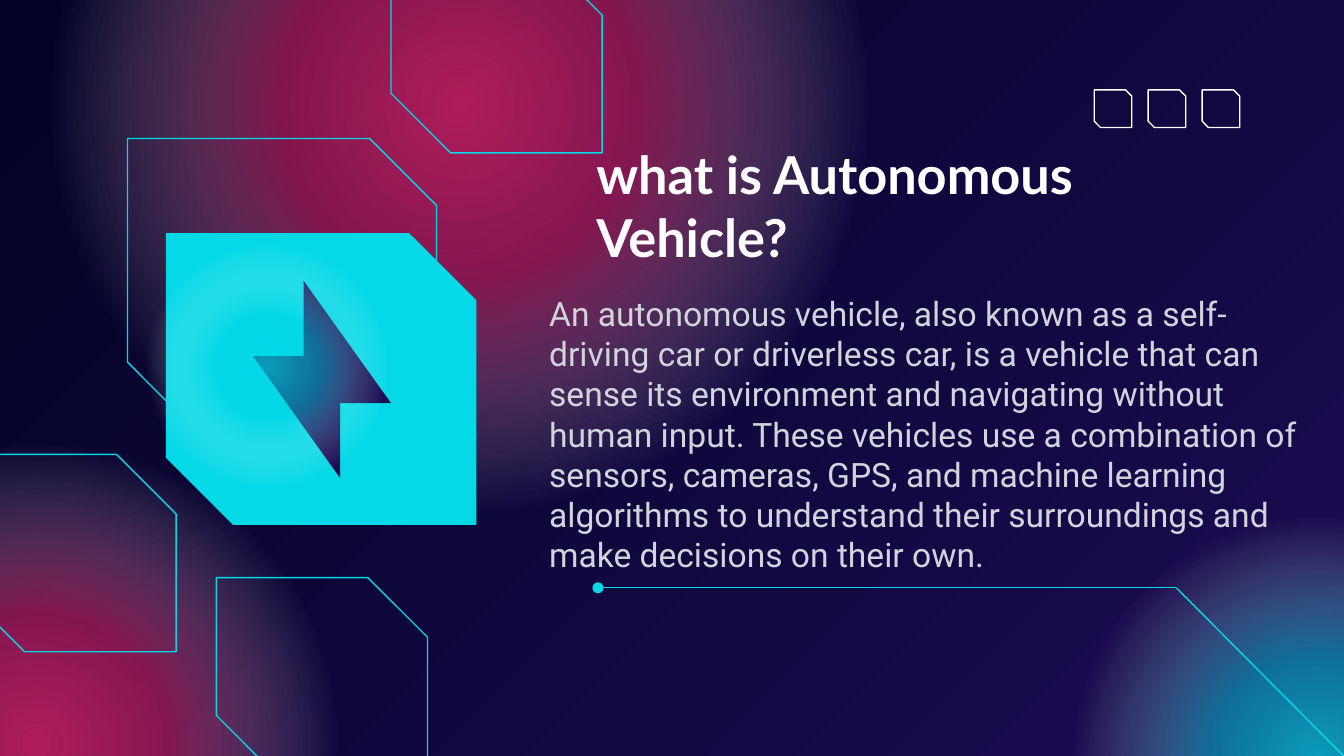
from lxml import etree
from pptx import Presentation
from pptx.dml.color import RGBColor
from pptx.enum.shapes import MSO_CONNECTOR, MSO_SHAPE
from pptx.enum.text import MSO_ANCHOR, MSO_AUTO_SIZE, PP_ALIGN
from pptx.oxml import parse_xml
from pptx.oxml.ns import qn
from pptx.util import Cm, Pt

OVAL, SNIP, TRIANGLE = MSO_SHAPE.OVAL, MSO_SHAPE.SNIP_2_DIAG_RECTANGLE, MSO_SHAPE.RIGHT_TRIANGLE
STRAIGHT = MSO_CONNECTOR.STRAIGHT
TOP, BOTTOM, LEFT = MSO_ANCHOR.TOP, MSO_ANCHOR.BOTTOM, PP_ALIGN.LEFT
NO_FIT = MSO_AUTO_SIZE.NONE
NS = "http://schemas.openxmlformats.org/drawingml/2006/main"

COLORS = {"night": "030325", "indigo": "1B0B52", "pink": "FF296D",
          "cyan": "05D8E7", "white": "FFFFFF", "gray": "D1D5DB"}

TITLE = "what is Autonomous Vehicle?"
BODY = ("An autonomous vehicle, also known as a self-driving car or driverless car, "
        "is a vehicle that can sense its environment and navigating without human input. "
        "These vehicles use a combination of sensors, cameras, GPS, and machine learning "
        "algorithms to understand their surroundings and make decisions on their own.")
TITLE_BOX = (11.02, 3.61, 11.96, 1.7)
BODY_BOX = (10.13, 5.28, 14.68, 5.56)
TITLE_FONT = {"name": "Lato", "size": Pt(28), "bold": True}
BODY_FONT = {"name": "Roboto", "size": Pt(18), "bold": False}

BACK_GLOWS = [(-5.13, 8.23, 11.63, "pink", 67, 49),
              (0.74, -5.97, 15.88, "pink", 67, 49),
              (20.14, 9.63, 9.55, "cyan", 71, 48)]
CARD_GLOW = (2.69, 4.57, 4.7, "cyan", 71, 48)
CARD_SIZE, CARD_SNIP = (5.84, 5.49), 0.23
CARD_OUTLINE, CARD = (2.41, 2.62), (3.15, 4.42)
BOLT_SIZE = (1.65, 2.31)
BOLT = [(5.74, 5.31, 0), (4.78, 6.73, 180)]
FRAME_SIZE, FRAME_SNIP = (3.99, 3.73), 0.302
FRAMES = [(7.39, -0.84), (-0.66, 8.59), (4.09, 10.92)]
MARK_START, MARK_STEP, MARK_SIZE, MARK_SNIP = (20.68, 1.7), 1.02, (0.71, 0.71), 0.167
TRACE = [(25.58, 14.48), (22.23, 11.11), (11.3, 11.11)]


def rgb(name):
    return RGBColor.from_string(COLORS[name])


def add_shape(kind, pos, size, fill=None, line=None):
    sp = slide.shapes.add_shape(kind, *map(Cm, (*pos, *size)))
    sp.shadow.inherit = False
    if fill:
        sp.fill.solid()
        sp.fill.fore_color.rgb = rgb(fill)
    else:
        sp.fill.background()
    if line:
        sp.line.color.rgb = rgb(line)
        sp.line.width = Pt(0.75)
    else:
        sp.line.fill.background()
    return sp


def add_snip(pos, size, snip, line, fill=None):
    sp = add_shape(SNIP, pos, size, fill, line)
    sp.adjustments[0], sp.adjustments[1] = 0, snip


def add_glow(x, y, d, color, inner, middle):
    sp = add_shape(OVAL, (x, y), (d, d))
    stops = [(0, color, inner), (30, color, middle), (69, "white", 0), (100, "white", 0)]
    stop_xml = "".join(
        f'<a:gs pos="{pos * 1000}"><a:srgbClr val="{COLORS[c]}">'
        f'<a:alpha val="{alpha * 1000}"/></a:srgbClr></a:gs>' for pos, c, alpha in stops)
    grad = parse_xml(
        f'<a:gradFill xmlns:a="{NS}" rotWithShape="1"><a:gsLst>{stop_xml}</a:gsLst>'
        '<a:path path="circle"><a:fillToRect l="50000" t="50000" r="50000" b="50000"/>'
        '</a:path></a:gradFill>')
    props = sp.element.spPr
    props.replace(props.find(qn("a:noFill")), grad)


def add_trace(start, end):
    line = slide.shapes.add_connector(STRAIGHT, *map(Cm, (*start, *end)))
    line.line.color.rgb = rgb("cyan")
    line.line.width = Pt(0.75)
    etree.SubElement(line.element.spPr, qn("a:effectLst"))
    return line


def set_text(sp, text, font, color, anchor, space_after=0):
    tf = sp.text_frame
    tf.text = text
    frame = {"word_wrap": True, "auto_size": NO_FIT, "vertical_anchor": anchor}
    frame.update({f"margin_{side}": Cm(0.25) for side in ("left", "top", "right", "bottom")})
    p = tf.paragraphs[0]
    para = {"alignment": LEFT, "space_before": Pt(0), "space_after": Pt(space_after),
            "line_spacing": 1.0}
    for target, values in ((tf, frame), (p, para), (p.runs[0].font, font)):
        for key, value in values.items():
            setattr(target, key, value)
    p.runs[0].font.color.rgb = rgb(color)


prs = Presentation()
prs.slide_width, prs.slide_height = Cm(25.4), Cm(14.29)
slide = prs.slides.add_slide(prs.slide_layouts[5])
bg = slide.background.fill
bg.gradient()
bg.gradient_angle = 315
for stop, color in zip(bg.gradient_stops, ("night", "indigo")):
    stop.color.rgb = rgb(color)

for glow in BACK_GLOWS:
    add_glow(*glow)
add_snip(CARD_OUTLINE, CARD_SIZE, CARD_SNIP, "cyan")

title = slide.shapes.title
title.left, title.top, title.width, title.height = map(Cm, TITLE_BOX)
set_text(title, TITLE, TITLE_FONT, "white", BOTTOM)
slide.shapes.element.append(title.element)

add_snip(CARD, CARD_SIZE, CARD_SNIP, "cyan", "cyan")
for x, y, angle in BOLT:
    add_shape(TRIANGLE, (x, y), BOLT_SIZE, "indigo").rotation = angle
for pos in FRAMES:
    add_snip(pos, FRAME_SIZE, FRAME_SNIP, "cyan")
add_glow(*CARD_GLOW)

for start, end in zip(TRACE, TRACE[1:]):
    trace = add_trace(start, end)
etree.SubElement(trace.line._get_or_add_ln(), qn("a:tailEnd"), type="oval")

for i in range(3):
    add_snip((MARK_START[0] + i * MARK_STEP, MARK_START[1]), MARK_SIZE, MARK_SNIP, "white")

body = slide.shapes.add_textbox(*map(Cm, BODY_BOX))
set_text(body, BODY, BODY_FONT, "gray", TOP, 12)

prs.save("out.pptx")
